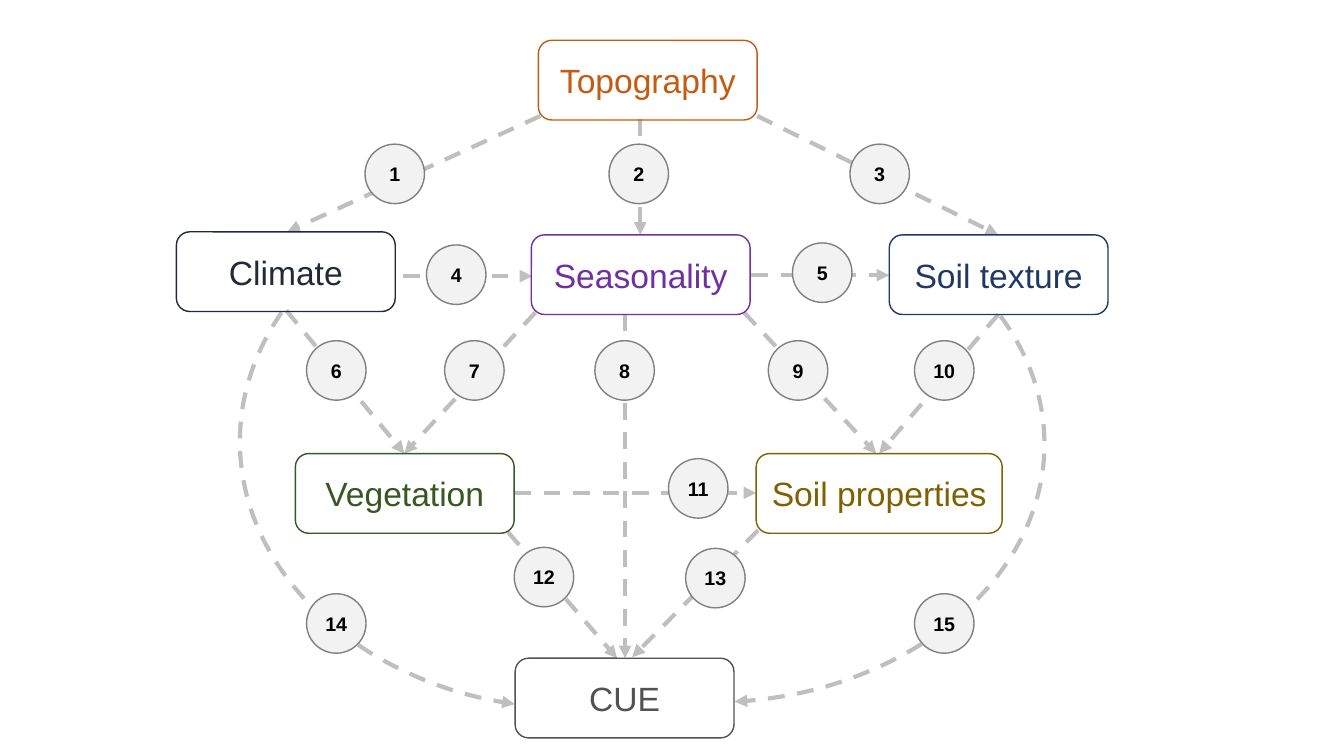
from lxml.etree import SubElement
from pptx import Presentation
from pptx.dml.color import RGBColor
from pptx.enum.dml import MSO_LINE
from pptx.enum.shapes import MSO_CONNECTOR, MSO_SHAPE
from pptx.enum.text import MSO_ANCHOR, PP_ALIGN
from pptx.oxml.ns import qn
from pptx.util import Inches, Pt

ARROW = RGBColor(0xBF, 0xBF, 0xBF)
BADGE_FILL = RGBColor(0xF2, 0xF2, 0xF2)
BADGE_LINE = RGBColor(0x80, 0x80, 0x80)
BLACK = RGBColor(0x00, 0x00, 0x00)
ORANGE = RGBColor(0xC5, 0x5A, 0x11)
SLATE = RGBColor(0x22, 0x2A, 0x35)
PURPLE = RGBColor(0x70, 0x30, 0xA0)
NAVY = RGBColor(0x20, 0x38, 0x64)
GREEN = RGBColor(0x38, 0x57, 0x23)
OLIVE = RGBColor(0x80, 0x60, 0x00)
GREY = RGBColor(0x52, 0x52, 0x52)

CELL = Inches(0.1)  # side of one grid column and row
BOX_W, BOX_H, BADGE = 21.7, 7.9, 5.9


def cells(*lengths):
    return [int(n * CELL) for n in lengths]


def set_text(sp, text, *, font, size, color, bold=False):
    tf = sp.text_frame
    tf.word_wrap = False
    tf.vertical_anchor = MSO_ANCHOR.MIDDLE
    p = tf.paragraphs[0]
    p.alignment = PP_ALIGN.CENTER
    r = p.add_run()
    r.text = text
    r.font.name, r.font.size = font, Pt(size)
    r.font.color.rgb, r.font.bold = color, bold


class Diagram:
    font = "Arial"

    def __init__(self, slide):
        self.s = slide

    def shape(self, kind, x, y, w, h, line, fill=None):
        sp = self.s.shapes.add_shape(kind, *cells(x, y, w, h))
        sp.shadow.inherit = False
        if fill is None:
            sp.fill.background()
        else:
            sp.fill.solid()
            sp.fill.fore_color.rgb = fill
        sp.line.color.rgb = line
        sp.line.width = Pt(1)
        return sp

    def dash(self, sp):
        """Give a connector or an arc the dashed arrow style."""
        sp.line.color.rgb = ARROW
        sp.line.width = Pt(3)
        sp.line.dash_style = MSO_LINE.DASH
        ln = sp._element.spPr.find(qn("a:ln"))
        SubElement(ln, qn("a:tailEnd"), type="triangle")

    def arrow(self, x1, y1, x2, y2):
        c = self.s.shapes.add_connector(MSO_CONNECTOR.STRAIGHT,
                                        *cells(x1, y1, x2, y2))
        self.dash(c)
        SubElement(c._element.spPr, qn("a:effectLst"))

    def arc(self, x, y, w, h, start, end, flip=False):
        sp = self.shape(MSO_SHAPE.ARC, x, y, w, h, ARROW)
        sp.adjustments[0], sp.adjustments[1] = start, end
        if flip:
            sp._element.spPr.find(qn("a:xfrm")).set("flipH", "1")
        self.dash(sp)

    def box(self, text, x, y, color, w=BOX_W):
        sp = self.shape(MSO_SHAPE.ROUNDED_RECTANGLE, x, y, w, BOX_H, color)
        set_text(sp, text, font=self.font, size=24, color=color)

    def badge(self, number, x, y):
        sp = self.shape(MSO_SHAPE.OVAL, x, y, BADGE, BADGE, BADGE_LINE, BADGE_FILL)
        set_text(sp, str(number), font=self.font, size=14, color=BLACK, bold=True)


# Straight arrows: start column and row, end column and row
ARROWS = [
    (53.6, 11.5, 28.5, 23), (63.5, 11.8, 63.5, 23.3), (75.1, 11.5, 99, 23.3),
    (40, 27.4, 52.8, 27.4), (74.5, 27.3, 88.2, 27.3),
    (28.4, 30.8, 40.1, 45), (53.1, 31, 40.1, 45), (62, 31.2, 62, 65.3),
    (73.8, 31, 86.9, 45), (99, 31.2, 87.2, 45), (51, 48.9, 75, 48.9),
    (50.4, 52.8, 61.2, 65.3), (75.2, 52.6, 62.7, 65.2),
]

BOXES = [
    ("Topography", 53.4, 4, ORANGE),
    ("Climate", 17.5, 23, SLATE),
    ("Seasonality", 52.7, 23.3, PURPLE),
    ("Soil texture", 88.2, 23.3, NAVY),
    ("Vegetation", 29.3, 45, GREEN),
    ("Soil properties", 75, 45, OLIVE, 24.4),
    ("CUE", 51.1, 65.3, GREY),
]

# Corners of the badges, numbered in this order
BADGES = [
    (36.2, 14.3), (60.4, 14.3), (84.3, 14.3), (42.3, 24.3), (78.6, 24.1),
    (30.4, 33.8), (44.1, 33.8), (59, 33.8), (76.2, 33.8), (90.7, 33.8),
    (66.3, 45.5), (51, 54.3), (68, 54.4), (30.4, 58.9), (90.7, 58.9),
]


def main():
    prs = Presentation()
    prs.slide_width, prs.slide_height = Inches(13.33), Inches(7.5)
    d = Diagram(prs.slides.add_slide(prs.slide_layouts[6]))

    # Links
    for ends in ARROWS:
        d.arrow(*ends)
    d.arc(23.8, 17.3, 66.6, 53, 201.79, 46.17, flip=True)
    d.arc(37, 18.4, 66.6, 51.3, 201.79, 50.56)

    # Factors
    for box in BOXES:
        d.box(*box)

    # Link numbers
    for number, corner in enumerate(BADGES, 1):
        d.badge(number, *corner)

    prs.save("out.pptx")


if __name__ == "__main__":
    main()
